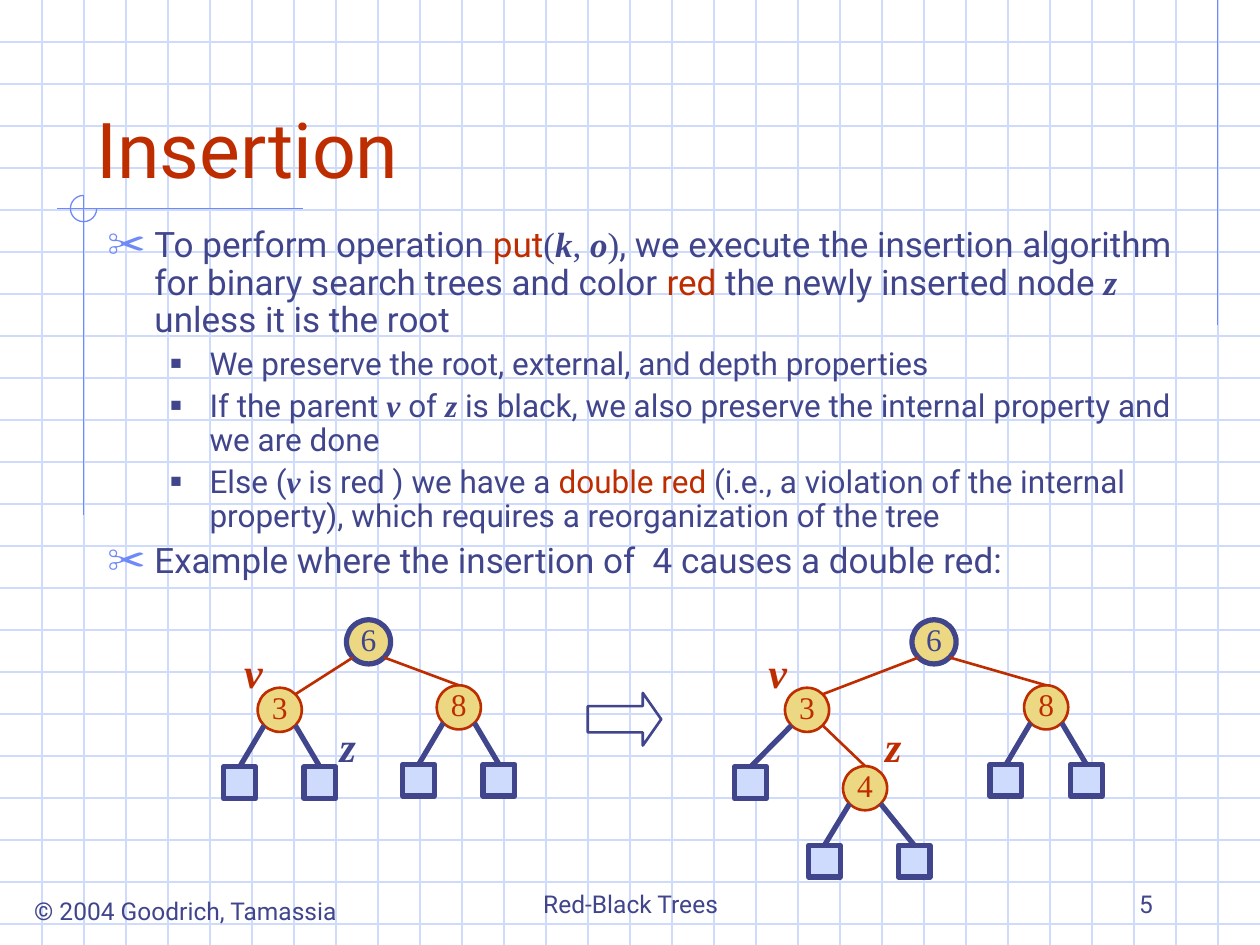
from dataclasses import dataclass
import math
import pptx
import pptx.util
import pptx.dml.color
import pptx.enum.shapes
import pptx.enum.text
import pptx.oxml.ns
from lxml import etree

Cm, Pt = pptx.util.Cm, pptx.util.Pt
Kind = pptx.enum.shapes.MSO_SHAPE
Align = pptx.enum.text.PP_ALIGN
Anchor = pptx.enum.text.MSO_ANCHOR


@dataclass(frozen=True)
class Theme:
    navy: str = "40458C"
    red: str = "BE2D00"
    blue: str = "6F89F7"
    pale: str = "CFDBFD"
    gold: str = "ECD882"
    sans: str = "Roboto"
    serif: str = "Times New Roman"
    title: int = 44
    sign: int = 24
    lead: int = 20
    text: int = 18
    foot: int = 14
    thin: float = 0.75
    line: float = 1.5
    thick: float = 3


T = Theme()
WIDE, HIGH = 25.4, 19.05
STEP = WIDE / 30
NODE, LEAF = 0.89, 0.64

# Run styles
PLAIN = dict(name=T.sans, color=T.navy)
RED = dict(name=T.sans, color=T.red)
MATH = dict(name=T.serif, color=T.navy)
VAR = dict(MATH, bold=True, italic=True)

# List levels
LEVELS = [
    dict(size=T.lead, left=0.95, hang=0.95, gap=5, mark="✂", tint=T.blue, scale=110),
    dict(size=T.text, left=2.06, hang=0.79, gap=4.5, mark="■", tint=T.navy, scale=60),
]

LIST = [
    (0, [("To perform operation ", PLAIN), ("put", RED), ("(", MATH), ("k", VAR),
         (", ", MATH), ("o", VAR), (")", MATH),
         (", we execute the insertion algorithm for binary search trees and color ", PLAIN),
         ("red", RED), (" the newly inserted node ", PLAIN), ("z ", VAR),
         ("unless it is the root", PLAIN)]),
    (1, [("We preserve the root, external, and depth properties", PLAIN)]),
    (1, [("If the parent ", PLAIN), ("v", VAR), (" of ", PLAIN), ("z", VAR),
         (" is black, we also preserve the internal property and we are done", PLAIN)]),
    (1, [("Else (", PLAIN), ("v", VAR), (" is red ) we have a ", PLAIN),
         ("double red", RED),
         (" (i.e., a violation of the internal property), "
          "which requires a reorganization of the tree", PLAIN)]),
    (0, [("Example where the insertion of  4 causes a double red:", PLAIN)]),
]

# A node is (key, offset x and y from its parent, children); a leaf has no key
PAIR = [(None, -0.81, 1.47, []), (None, 0.81, 1.47, [])]
BEFORE = ("6", 2.93, 0.44, [("3", -1.79, 1.37, PAIR), ("8", 1.82, 1.32, PAIR)])
FOUR = ("4", 1.17, 1.58, [(None, -0.82, 1.47, []), (None, 0.99, 1.47, [])])
AFTER = ("6", 4.03, 0.44, [("3", -2.56, 1.37, [(None, -1.14, 1.47, []), FOUR]),
                           ("8", 2.26, 1.32, PAIR)])


def rgb(tint):
    return pptx.dml.color.RGBColor.from_string(tint)


def write(par, runs, size):
    for words, style in runs:
        run = par.add_run()
        run.text = words
        for key, value in dict(style, size=Pt(size)).items():
            if key == "color":
                run.font.color.rgb = rgb(value)
            else:
                setattr(run.font, key, value)


def frame(shape, **format):
    for key, value in format.items():
        setattr(shape.text_frame, key, value)
    return shape.text_frame.paragraphs[0]


def place(shape, box):
    for key, value in zip(("left", "top", "width", "height"), box):
        setattr(shape, key, Cm(value))


def label(slide, box, words, style, size, align=Align.CENTER, **format):
    shape = slide.shapes.add_textbox(*map(Cm, box))
    par = frame(shape, **dict(dict(word_wrap=True), **format))
    par.alignment = align
    write(par, [(words, style)], size)


def rule(slide, ends, tint, width):
    line = slide.shapes.add_connector(
        pptx.enum.shapes.MSO_CONNECTOR.STRAIGHT, *map(Cm, ends))
    line.line.color.rgb = rgb(tint)
    line.line.width = Pt(width)
    etree.SubElement(line._element.spPr, pptx.oxml.ns.qn("a:effectLst"))
    return line


def solid(slide, kind, box, fill, tint, width):
    shape = slide.shapes.add_shape(kind, *map(Cm, box))
    shape.shadow.inherit = False
    if fill:
        shape.fill.solid()
        shape.fill.fore_color.rgb = rgb(fill)
    else:
        shape.fill.background()
    shape.line.color.rgb = rgb(tint)
    shape.line.width = Pt(width)
    return shape


def back(slide):
    # Squared paper
    for i in range(1, math.ceil(HIGH / STEP)):
        rule(slide, (0, i * STEP, WIDE, i * STEP), T.pale, T.thin)
    for i in range(1, 30):
        rule(slide, (i * STEP, 0, i * STEP, HIGH), T.pale, T.thin)
    # Margin lines and the arc where two of them cross
    for ends in ((24.55, 0, 24.55, 6.55), (6.1, 4.21, 1.15, 4.21), (1.69, 3.93, 1.69, 10.39)):
        rule(slide, ends, T.blue, T.thin)
    arc = solid(slide, Kind.ARC, (1.42, 3.94, 0.53, 0.53), None, T.blue, T.thin)
    arc.adjustments[0], arc.adjustments[1] = 0, 162


def head(slide, box):
    shape = slide.shapes.title
    place(shape, box)
    par = frame(shape, vertical_anchor=Anchor.BOTTOM, word_wrap=True,
                auto_size=pptx.enum.text.MSO_AUTO_SIZE.NONE)
    par.alignment = Align.LEFT
    write(par, [("Insertion", RED)], T.title)


def mark(par, level):
    props = par._p.get_or_add_pPr()
    props.set("marL", str(Cm(level["left"])))
    props.set("indent", str(-Cm(level["hang"])))
    tint = etree.SubElement(props, pptx.oxml.ns.qn("a:buClr"))
    etree.SubElement(tint, pptx.oxml.ns.qn("a:srgbClr"), val=level["tint"])
    etree.SubElement(props, pptx.oxml.ns.qn("a:buSzPct"), val=str(level["scale"] * 1000))
    etree.SubElement(props, pptx.oxml.ns.qn("a:buChar"), char=level["mark"])


def body(slide, box):
    shape = slide.placeholders[1]
    place(shape, box)
    par = frame(shape, vertical_anchor=Anchor.TOP, word_wrap=True,
                auto_size=pptx.enum.text.MSO_AUTO_SIZE.NONE)
    for i, (depth, runs) in enumerate(LIST):
        par = shape.text_frame.add_paragraph() if i else par
        level = LEVELS[depth]
        par.level = depth
        mark(par, level)
        par.line_spacing = 0.9
        par.space_before = Pt(level["gap"] if i else 0)
        write(par, runs, level["size"])


def grow(slide, x, y, node, root=True):
    """Draw a node at its offset from (x, y), then its children and edges."""
    key, dx, dy, kids = node
    x, y = x + dx, y + dy
    size = NODE if key else LEAF
    box = (x - size / 2, y - size / 2, size, size)
    if not key:
        return solid(slide, Kind.RECTANGLE, box, T.pale, T.navy, T.thick)
    tint, width = (T.navy, T.thick) if root else (T.red, T.line)
    shape = solid(slide, Kind.OVAL, box, T.gold, tint, width)
    par = frame(shape, margin_left=0, margin_right=0, margin_top=0, margin_bottom=Cm(0.13),
                word_wrap=False, vertical_anchor=Anchor.MIDDLE)
    par.alignment = Align.CENTER
    write(par, [(key, dict(MATH, color=tint))], T.text)
    reach = NODE / 2 * math.sqrt(0.5)
    for kid in kids:
        child = grow(slide, x, y, kid, False)
        side = math.copysign(reach, kid[1])
        tint, width = (T.red, T.line) if kid[0] else (T.navy, T.thick)
        # Inner left children meet the edge at their upper right
        ends = (x + side, y + reach, x + kid[1] + reach, y + kid[2] - reach)
        edge = rule(slide, ends, tint, width)
        if not kid[0] or kid[1] > 0:
            edge.end_connect(child, 0)
    return shape


def tree(slide, x, y, root, signs):
    grow(slide, x, y, root)
    for words, dx, dy, tint in signs:
        label(slide, (x + dx, y + dy, 0.86, 1.27), words, dict(VAR, color=tint), T.sign)


def foot(slide, y):
    label(slide, (0.3, y + 0.58, 6.88, 0.86), "© 2004 Goodrich, Tamassia", PLAIN, T.foot,
          word_wrap=False)
    label(slide, (8.69, y, 8.05, 1.27), "Red-Black Trees", PLAIN, T.foot,
          vertical_anchor=Anchor.BOTTOM)
    label(slide, (18.21, y, 5.28, 1.27), "5", PLAIN, T.foot, Align.RIGHT,
          vertical_anchor=Anchor.BOTTOM)


def main():
    deck = pptx.Presentation()
    deck.slide_width, deck.slide_height = Cm(WIDE), Cm(HIGH)
    slide = deck.slides.add_slide(deck.slide_layouts[1])
    held = [shape._element for shape in slide.placeholders]
    back(slide)
    # Lift the title and list above the squared paper
    for item in held:
        item.getparent().append(item)
    head(slide, (1.69, 0.85, 21.59, 3.18))
    body(slide, (1.91, 4.45, 22.43, 7.82))
    # The tree before and after the insertion
    tree(slide, 4.5, 12.5, BEFORE, [("v", 0.17, 0.4, T.red), ("z", 2.08, 1.9, T.navy)])
    tree(slide, 14.8, 12.5, AFTER, [("v", 0.44, 0.4, T.red), ("z", 2.78, 1.9, T.red)])
    arrow = solid(slide, Kind.RIGHT_ARROW, (11.85, 13.97, 1.48, 1.06), None, T.navy, T.line)
    arrow.adjustments[1] = 0.35
    foot(slide, 17.36)
    deck.save("out.pptx")


if __name__ == "__main__":
    main()
